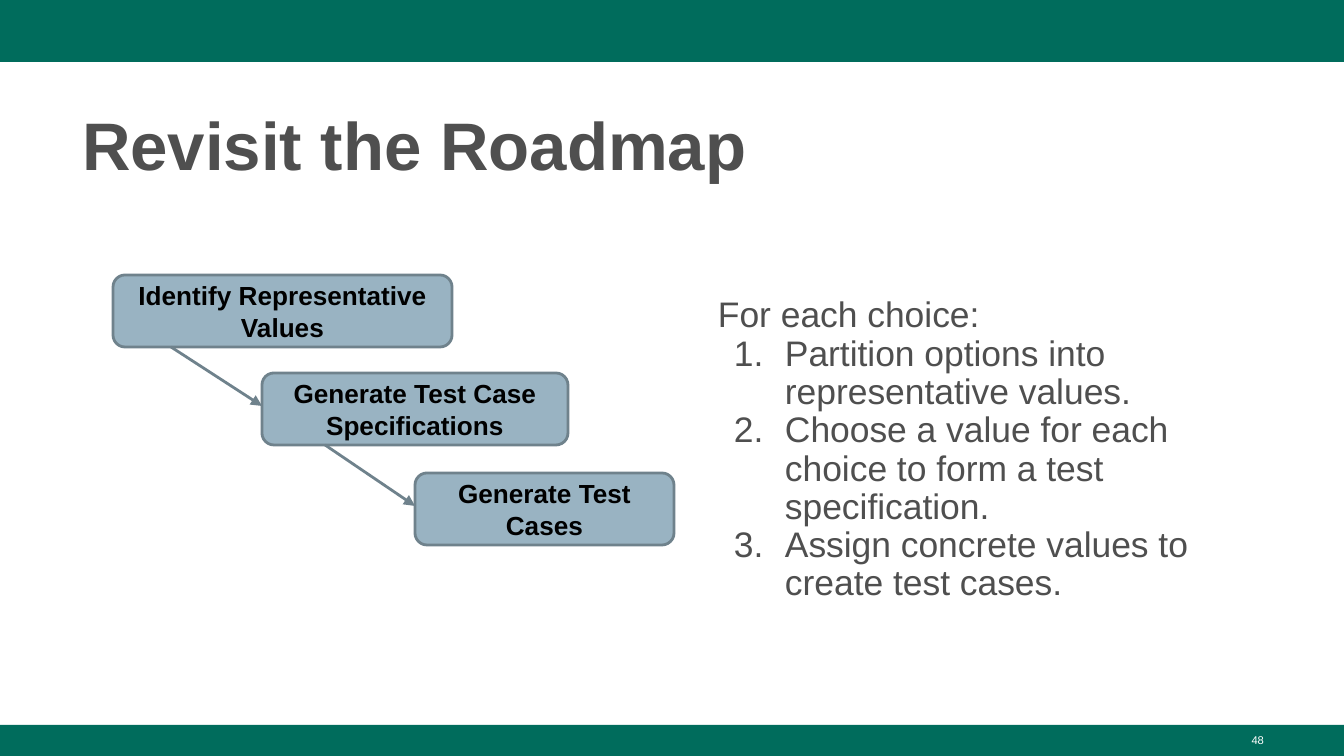
from lxml import etree
from pptx import Presentation
from pptx.dml.color import RGBColor
from pptx.enum.shapes import MSO_CONNECTOR, MSO_SHAPE
from pptx.enum.text import MSO_ANCHOR, MSO_AUTO_SIZE, PP_ALIGN
from pptx.oxml.ns import qn
from pptx.util import Inches, Pt

RECTANGLE, ROUNDED = MSO_SHAPE.RECTANGLE, MSO_SHAPE.ROUNDED_RECTANGLE
STRAIGHT = MSO_CONNECTOR.STRAIGHT
TOP, MIDDLE = MSO_ANCHOR.TOP, MSO_ANCHOR.MIDDLE
LEFT, CENTER, RIGHT = PP_ALIGN.LEFT, PP_ALIGN.CENTER, PP_ALIGN.RIGHT
NO_AUTOFIT = MSO_AUTO_SIZE.NONE

WIDTH, HEIGHT = 1344, 756
EMU_PER_PX = Inches(10) / WIDTH
FONT = "Arial"
GREEN, GREY, BLACK, WHITE = "006C5C", "4F4F4F", "000000", "FFFFFF"
STEP_FILL, STEP_LINE = "99B3C2", "6F828C"
STEP_HEIGHT = 72

# Text, left, top, width, and x where the arrow to the next step starts
STEPS = [
    ("Identify Representative Values", 113, 275, 339, 171),
    ("Generate Test Case Specifications", 262, 373, 306, 325),
    ("Generate Test Cases", 415, 473, 259, None),
]
INTRODUCTION = "For each choice:"
ACTIONS = [
    "Partition options into representative values.",
    "Choose a value for each choice to form a test specification.",
    "Assign concrete values to create test cases.",
]


def px(*lengths):
    return [round(length * EMU_PER_PX) for length in lengths]


def color(value):
    return RGBColor.from_string(value)


def place(shape, *box):
    shape.left, shape.top, shape.width, shape.height = px(*box)


def add_numbering(paragraph):
    """Number a paragraph with a hanging indent."""
    properties = paragraph._p.get_or_add_pPr()
    left, hanging = px(67, 51)
    properties.set("marL", str(left))
    properties.set("indent", str(-hanging))
    bullet_color = etree.SubElement(properties, qn("a:buClr"))
    etree.SubElement(bullet_color, qn("a:srgbClr"), val=GREY)
    etree.SubElement(properties, qn("a:buFont"), typeface=FONT)
    etree.SubElement(properties, qn("a:buAutoNum"), type="arabicPeriod")


def write_text(shape, lines, size, fill=GREY, bold=False, align=LEFT,
               anchor=TOP, spacing=None, margin_y=7, numbered_from=None):
    frame = shape.text_frame
    frame.word_wrap = True
    frame.auto_size = NO_AUTOFIT
    frame.vertical_anchor = anchor
    frame.margin_left, frame.margin_right = px(13, 13)
    frame.margin_top, frame.margin_bottom = px(margin_y, margin_y)
    for index, line in enumerate(lines):
        paragraph = frame.add_paragraph() if index else frame.paragraphs[0]
        paragraph.alignment = align
        if spacing:
            paragraph.line_spacing = spacing
        if numbered_from is not None and index >= numbered_from:
            add_numbering(paragraph)
        run = paragraph.add_run()
        run.text = line
        run.font.name = FONT
        run.font.size = Pt(size)
        run.font.bold = bold
        run.font.color.rgb = color(fill)


def add_text(slide, lines, box, size, **text_format):
    write_text(slide.shapes.add_textbox(*px(*box)), lines, size, **text_format)


def add_box(slide, kind, box, fill, line=None):
    shape = slide.shapes.add_shape(kind, *px(*box))
    shape.shadow.inherit = False
    shape.fill.solid()
    shape.fill.fore_color.rgb = color(fill)
    if line:
        shape.line.color.rgb = color(line)
        shape.line.width = Pt(1.5)
    else:
        shape.line.fill.background()
    return shape


def add_arrow(slide, *ends):
    arrow = slide.shapes.add_connector(STRAIGHT, *px(*ends))
    arrow.line.color.rgb = color(STEP_LINE)
    arrow.line.width = Pt(1.5)
    etree.SubElement(arrow.line._get_or_add_ln(), qn("a:tailEnd"), type="triangle")
    etree.SubElement(arrow._element.spPr, qn("a:effectLst"))


def add_roadmap(slide):
    for text, left, top, width, _ in STEPS:
        step = add_box(slide, ROUNDED, (left, top, width, STEP_HEIGHT),
                       STEP_FILL, STEP_LINE)
        write_text(step, [text], 14, fill=BLACK, bold=True, align=CENTER,
                   anchor=MIDDLE, margin_y=13)
    for (_, _, top, _, start), (_, next_left, next_top, _, _) in zip(STEPS, STEPS[1:]):
        add_arrow(slide, start, top + STEP_HEIGHT,
                  next_left, next_top + STEP_HEIGHT // 2 - 3)


def main():
    presentation = Presentation()
    presentation.slide_width, presentation.slide_height = px(WIDTH, HEIGHT)
    slide = presentation.slides.add_slide(presentation.slide_layouts[5])

    add_box(slide, RECTANGLE, (0, 0, WIDTH, 62), GREEN)
    add_box(slide, RECTANGLE, (0, 725, WIDTH, 31), GREEN)

    title = slide.shapes.title
    place(title, 69, 90, 1208, 98)
    write_text(title, ["Revisit the Roadmap"], 36, bold=True, spacing=1.08)

    add_roadmap(slide)
    add_text(slide, [INTRODUCTION, *ACTIONS], (705, 177, 587, 547), 19,
             anchor=MIDDLE, spacing=0.9, margin_y=13, numbered_from=1)
    add_text(slide, ["48"], (964, 726, 313, 30), 6, fill=WHITE, align=RIGHT)
    presentation.save("out.pptx")


if __name__ == "__main__":
    main()
